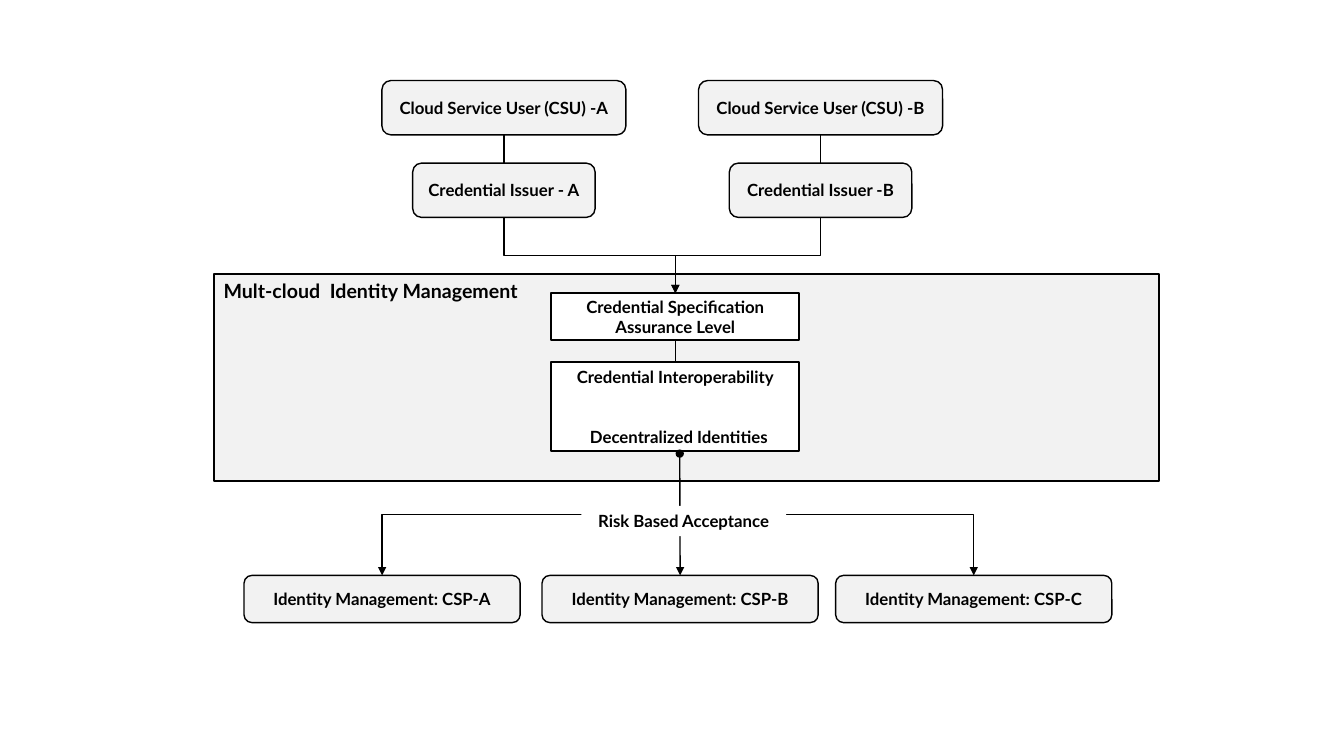
"""Build the multi-cloud identity management diagram slide."""
from dataclasses import dataclass
from typing import Optional

from lxml.etree import SubElement
from pptx import Presentation
from pptx.dml.color import RGBColor
from pptx.enum.shapes import MSO_CONNECTOR as Connector, MSO_SHAPE as Shape
from pptx.enum.text import MSO_ANCHOR as Anchor, MSO_AUTO_SIZE as AutoSize, PP_ALIGN as Align
from pptx.oxml.ns import qn
from pptx.shapes.shapetree import _BaseGroupShapes as ShapeTree
from pptx.util import Cm, Pt

BLACK = RGBColor(0x00, 0x00, 0x00)
WHITE = RGBColor(0xFF, 0xFF, 0xFF)
GRAY = RGBColor(0xF2, 0xF2, 0xF2)
FONT = "Lato"

ISSUER_CENTERS = {"A": 12.7, "B": 20.68}
CSP_CENTERS = {"A": 9.63, "B": 17.14, "C": 24.54}
SPECIFICATION_CENTER = 17.02
TRUNK = 17.13
USER_TOP, ISSUER_TOP, SPECIFICATION_TOP = 2.03, 4.11, 7.39
INTEROPERABILITY_TOP, TRUNK_TOP, CSP_TOP = 9.12, 11.43, 14.5
ROUNDED_HEIGHT, SPECIFICATION_HEIGHT = 1.37, 1.17


@dataclass(frozen=True)
class Box:
    """A labelled box, placed in centimetres by its horizontal centre."""
    text: str
    center: float
    top: float
    width: float
    height: float
    kind: Shape = Shape.RECTANGLE
    fill: Optional[RGBColor] = WHITE
    line: float = 1.5
    size: float = 12
    align: Align = Align.CENTER
    anchor: Anchor = Anchor.MIDDLE
    grow: bool = False


@dataclass(frozen=True)
class Link:
    """A connector between two points in centimetres."""
    x1: float
    y1: float
    x2: float
    y2: float
    bent: bool = False
    head: str = ""
    tail: str = ""


def rounded(text: str, center: float, top: float, width: float, height: float) -> Box:
    """Describe a gray rounded box with a thin outline."""
    return Box(text, center, top, width, height, Shape.ROUNDED_RECTANGLE, GRAY, 1)


PANEL = Box("Mult-cloud  Identity Management", 17.3, 6.91, 23.83, 5.21, fill=GRAY,
            size=14, align=Align.LEFT, anchor=Anchor.TOP)
USERS = [rounded(f"Cloud Service User (CSU) -{name}", center, USER_TOP, 6.15, ROUNDED_HEIGHT)
         for name, center in ISSUER_CENTERS.items()]
ISSUERS = [rounded(text, center, ISSUER_TOP, 4.6, ROUNDED_HEIGHT) for text, center in
           zip(("Credential Issuer - A", "Credential Issuer -B"), ISSUER_CENTERS.values())]
PROVIDERS = [rounded(f"Identity Management: CSP-{name}", center, CSP_TOP, 6.96, 1.19)
             for name, center in CSP_CENTERS.items()]
SPECIFICATION = Box("Credential Specification Assurance Level", SPECIFICATION_CENTER,
                    SPECIFICATION_TOP, 6.25, SPECIFICATION_HEIGHT)
INTEROPERABILITY = [
    Box("Credential Interoperability", SPECIFICATION_CENTER, INTEROPERABILITY_TOP, 6.25, 2.24,
        anchor=Anchor.TOP),
    Box("Decentralized Identities", 17.11, 10.64, 5.16, 0.76, fill=None, line=0,
        anchor=Anchor.TOP, grow=True),
]
ACCEPTANCE = Box("Risk Based Acceptance", 17.23, 12.75, 5.16, 0.76, line=0,
                 anchor=Anchor.TOP, grow=True)

LINKS = [
    *(Link(x, USER_TOP + ROUNDED_HEIGHT, x, ISSUER_TOP) for x in ISSUER_CENTERS.values()),
    *(Link(x, ISSUER_TOP + ROUNDED_HEIGHT, SPECIFICATION_CENTER, SPECIFICATION_TOP,
           bent=True, tail="triangle") for x in ISSUER_CENTERS.values()),
    Link(SPECIFICATION_CENTER, SPECIFICATION_TOP + SPECIFICATION_HEIGHT,
         SPECIFICATION_CENTER, INTEROPERABILITY_TOP),
    *(Link(TRUNK, TRUNK_TOP, CSP_CENTERS[name], CSP_TOP, bent=True, tail="triangle")
      for name in "AC"),
    Link(TRUNK, TRUNK_TOP, CSP_CENTERS["B"], CSP_TOP, head="oval", tail="triangle"),
]


def draw_box(shapes: ShapeTree, box: Box) -> None:
    """Draw a box with its bold label."""
    shape = shapes.add_shape(box.kind, Cm(box.center - box.width / 2), Cm(box.top),
                             Cm(box.width), Cm(box.height))
    shape.shadow.inherit = False
    if box.fill is None:
        shape.fill.background()
    else:
        shape.fill.solid()
        shape.fill.fore_color.rgb = box.fill
    if box.line:
        shape.line.color.rgb = BLACK
        shape.line.width = Pt(box.line)
    else:
        shape.line.fill.background()
    frame = shape.text_frame
    frame.word_wrap = True
    frame.vertical_anchor = box.anchor
    if box.grow:
        frame.auto_size = AutoSize.SHAPE_TO_FIT_TEXT
    paragraph = frame.paragraphs[0]
    paragraph.alignment = box.align
    run = paragraph.add_run()
    run.text = box.text
    run.font.name = FONT
    run.font.size = Pt(box.size)
    run.font.bold = True
    run.font.color.rgb = BLACK


def draw_link(shapes: ShapeTree, link: Link) -> None:
    """Draw a straight connector, or an elbow that leaves downwards."""
    x1, y1, x2, y2 = link.x1, link.y1, link.x2, link.y2
    if link.bent:
        middle_x, middle_y = (x1 + x2) / 2, (y1 + y2) / 2
        half_width, half_height = (y2 - y1) / 2, abs(x2 - x1) / 2
        x1, x2 = middle_x - half_width, middle_x + half_width
        y1, y2 = middle_y - half_height, middle_y + half_height
    kind = Connector.ELBOW if link.bent else Connector.STRAIGHT
    connector = shapes.add_connector(kind, Cm(x1), Cm(y1), Cm(x2), Cm(y2))
    connector.line.color.rgb = BLACK
    connector.line.width = Pt(1)
    properties = connector.element.spPr
    if link.bent:
        transform = properties.find(qn("a:xfrm"))
        rightwards = link.x2 > link.x1
        transform.set("rot", str((270 if rightwards else 90) * 60000))
        if rightwards:
            transform.set("flipH", "1")
    outline = properties.find(qn("a:ln"))
    for tag, ending in (("a:headEnd", link.head), ("a:tailEnd", link.tail)):
        if ending:
            SubElement(outline, qn(tag), type=ending)
    SubElement(properties, qn("a:effectLst"))


def main() -> None:
    """Build and save the presentation."""
    presentation = Presentation()
    presentation.slide_width, presentation.slide_height = Cm(33.87), Cm(19.05)
    slide = presentation.slides.add_slide(presentation.slide_layouts[6])
    for box in (PANEL, *USERS, *ISSUERS, *PROVIDERS, SPECIFICATION):
        draw_box(slide.shapes, box)
    group = slide.shapes.add_group_shape()
    for box in INTEROPERABILITY:
        draw_box(group.shapes, box)
    for link in LINKS:
        draw_link(slide.shapes, link)
    draw_box(slide.shapes, ACCEPTANCE)
    presentation.save("out.pptx")


if __name__ == "__main__":
    main()
